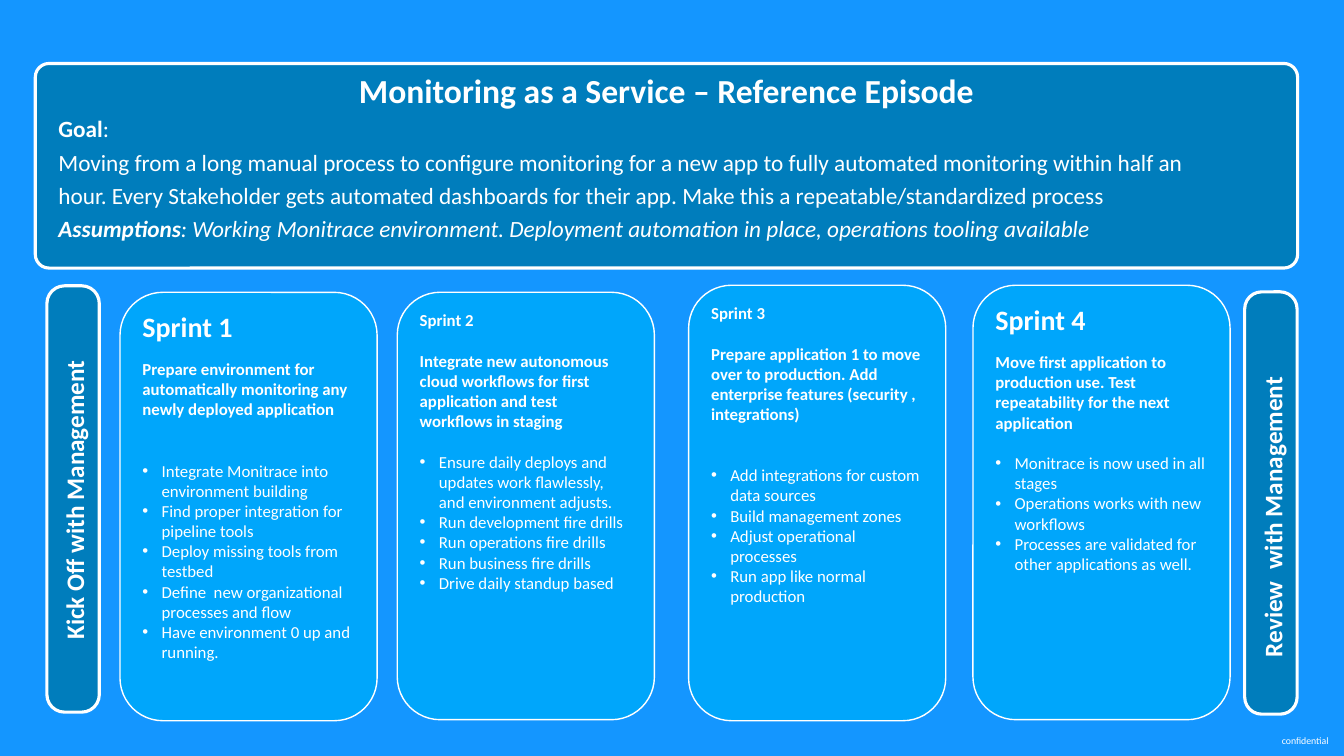
from lxml import etree
from pptx import Presentation
from pptx.dml.color import RGBColor
from pptx.enum.shapes import MSO_SHAPE
from pptx.enum.text import MSO_ANCHOR, PP_ALIGN
from pptx.oxml.ns import qn
from pptx.util import Inches, Pt

# Content
TITLE = "Monitoring as a Service – Reference Episode"
# paragraphs of runs: text, bold, italic
SUMMARY = [
    [("Goal", True, False), (":", False, False)],
    [("Moving from a long manual process to configure monitoring for a new app "
      "to fully automated monitoring within half an hour. Every Stakeholder gets "
      "automated dashboards for their app. Make this a repeatable/standardized "
      "process", False, False)],
    [("Assumptions", True, True),
     (": Working Monitrace environment. Deployment automation in place, "
      "operations tooling available", False, True)],
]
# left, top, height, heading, heading size, gap above goal, goal, gap above tasks, tasks
SPRINTS = [
    (1.19, 2.9, 4.25, "Sprint 1", 20, 11,
     "Prepare environment for automatically monitoring any newly deployed application",
     29.3,
     ["Integrate Monitrace into environment building",
      "Find proper integration for pipeline tools",
      "Deploy missing tools from testbed",
      "Define  new organizational processes and flow",
      "Have environment 0 up and running."]),
    (3.94, 2.9, 4.24, "Sprint 2", 12, 14.6,
     "Integrate new autonomous cloud workflows for first application and test "
     "workflows in staging",
     14.6,
     ["Ensure daily deploys and updates work flawlessly, and environment adjusts.",
      "Run development fire drills",
      "Run operations fire drills",
      "Run business fire drills",
      "Drive daily standup based"]),
    (6.83, 2.83, 4.32, "Sprint 3", 12, 14.6,
     "Prepare application 1 to move over to production. Add enterprise features "
     "(security , integrations)",
     29.3,
     ["Add integrations for custom data sources",
      "Build management zones",
      "Adjust operational processes",
      "Run app like normal production"]),
    (9.65, 2.83, 4.31, "Sprint 4", 20, 11,
     "Move first application to production use. Test repeatability for the next "
     "application",
     14.6,
     ["Monitrace is now used in all stages",
      "Operations works with new workflows",
      "Processes are validated for other applications as well."]),
]
# bar box, corner, label, label box
MILESTONES = [
    ((-1.39, 4.69, 4.23, 0.52), 0.337, "Kick Off with Management",
     (-1.37, 4.7, 4.31, 0.52)),
    ((10.51, 4.73, 4.19, 0.52), 0.325, "Review  with Management",
     (10.64, 4.87, 4.06, 0.52)),
]

FONT = "Calibri"
WHITE = RGBColor(0xFF, 0xFF, 0xFF)
BACKGROUND = RGBColor(0x14, 0x96, 0xFF)
DEEP_BLUE = RGBColor(0x00, 0x7D, 0xBC)
CARD_BLUE = RGBColor(0x00, 0xA6, 0xFB)
CARD_W = 2.55
INDENT = Inches(0.19)


def add_panel(s, box, fill, line_width, corner=None, rotation=0):
    sp = s.shapes.add_shape(MSO_SHAPE.ROUNDED_RECTANGLE, *map(Inches, box))
    sp.shadow.inherit = False
    sp.fill.solid()
    sp.fill.fore_color.rgb = fill
    sp.line.color.rgb = WHITE
    sp.line.width = Pt(line_width)
    sp.rotation = rotation
    if corner is not None:
        sp.adjustments[0] = corner
    return sp


def add_text(s, box, wrap=False, rotation=0):
    sp = s.shapes.add_textbox(*map(Inches, box))
    sp.rotation = rotation
    tf = sp.text_frame
    tf.word_wrap = wrap
    tf.margin_left = tf.margin_right = tf.margin_top = tf.margin_bottom = 0
    return tf


def next_paragraph(tf):
    first = tf.paragraphs[0]
    return tf.add_paragraph() if first.runs else first


def add_run(p, text, size, bold=False, italic=False):
    r = p.add_run()
    r.text = text
    r.font.name = FONT
    r.font.size = Pt(size)
    r.font.bold = bold
    r.font.italic = italic
    r.font.color.rgb = WHITE


def add_label(s, box, text, size, rotation=0):
    p = add_text(s, box, rotation=rotation).paragraphs[0]
    p.alignment = PP_ALIGN.CENTER
    p.line_spacing = 1.2
    add_run(p, text, size, bold=True)


def add_bullet(p):
    pPr = p._p.get_or_add_pPr()
    pPr.set("marL", str(INDENT))
    pPr.set("indent", str(-INDENT))
    etree.SubElement(pPr, qn("a:buFont")).set("typeface", "Arial")
    etree.SubElement(pPr, qn("a:buChar")).set("char", "•")


def add_sprint(s, left, top, height, heading, size, goal_gap, goal, task_gap, tasks):
    sp = add_panel(s, (left, top, CARD_W, height), CARD_BLUE, 1)
    tf = sp.text_frame
    tf.word_wrap = True
    tf.vertical_anchor = MSO_ANCHOR.TOP
    rows = [(heading, size, 0, False), (goal, 12, goal_gap, False)]
    rows += [(task, 12, 0 if i else task_gap, True) for i, task in enumerate(tasks)]
    for text, pt, gap, is_task in rows:
        p = next_paragraph(tf)
        p.alignment = PP_ALIGN.LEFT
        if gap:
            p.space_before = Pt(gap)
        if is_task:
            add_bullet(p)
        add_run(p, text, pt, bold=not is_task)


def main():
    prs = Presentation()
    prs.slide_width, prs.slide_height = Inches(13.33), Inches(7.5)
    s = prs.slides.add_slide(prs.slide_layouts[6])
    s.background.fill.solid()
    s.background.fill.fore_color.rgb = BACKGROUND

    # Summary panel
    add_panel(s, (0.35, 0.63, 12.52, 2.03), DEEP_BLUE, 2.25, 0.067)
    add_label(s, (0.35, 0.61, 12.52, 0.77), TITLE, 24)
    tf = add_text(s, (0.58, 1.08, 11.24, 1.44), wrap=True)
    for runs in SUMMARY:
        p = next_paragraph(tf)
        p.line_spacing = 1.2
        for text, bold, italic in runs:
            add_run(p, text, 16.6, bold, italic)

    # Sprint cards
    for sprint in SPRINTS:
        add_sprint(s, *sprint)

    # Management bars
    for bar, corner, label, label_box in MILESTONES:
        add_panel(s, bar, DEEP_BLUE, 2.25, corner, 270)
        add_label(s, label_box, label, 18, 270)

    # Footer
    tf = add_text(s, (12.6, 7.3, 0.69, 0.1))
    tf.vertical_anchor = MSO_ANCHOR.MIDDLE
    tf.paragraphs[0].alignment = PP_ALIGN.CENTER
    add_run(tf.paragraphs[0], "confidential", 7)

    prs.save("out.pptx")


if __name__ == "__main__":
    main()
